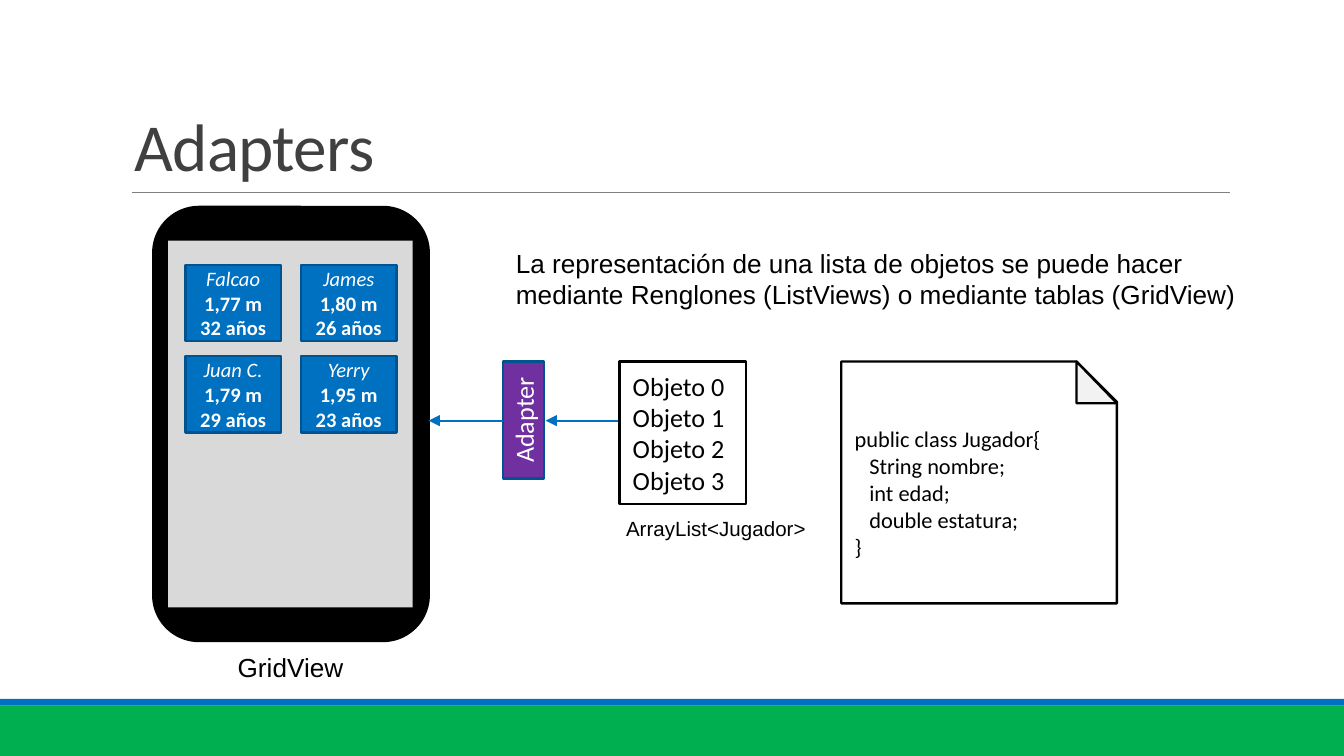
from dataclasses import dataclass

from lxml import etree
from pptx import Presentation
from pptx.dml.color import RGBColor
from pptx.enum import shapes, text
from pptx.oxml import ns
from pptx.util import Inches, Pt

SHAPE = shapes.MSO_SHAPE
ALIGN = text.PP_ALIGN
ANCHOR = text.MSO_ANCHOR


@dataclass(frozen=True)
class Theme:
    heading: str = "Calibri"
    body: str = "Arial"
    black: str = "000000"
    white: str = "FFFFFF"
    title: str = "404040"
    rule: str = "808080"
    green: str = "00B050"
    blue: str = "0070C0"
    blue_edge: str = "00538E"
    purple: str = "7030A0"
    screen: str = "D9D9D9"
    fold: str = "F2F2F2"
    title_size: float = 36
    text_size: float = 14
    code_size: float = 12
    small_size: float = 11
    edge_width: float = 1.25


THEME = Theme()


def rgb(value):
    return RGBColor.from_string(value)


def add_block(slide, kind, box, fill, edge=None):
    block = slide.shapes.add_shape(kind, *map(Inches, box))
    block.shadow.inherit = False
    block.fill.solid()
    block.fill.fore_color.rgb = rgb(fill)
    if edge:
        block.line.color.rgb = rgb(edge)
        block.line.width = Pt(THEME.edge_width)
    else:
        block.line.fill.background()
    return block


def write(holder, lines, size, color, font=THEME.heading, align=ALIGN.LEFT,
          anchor=ANCHOR.MIDDLE):
    frame = holder.text_frame
    frame.vertical_anchor = anchor
    frame.text = "\n".join(lines)
    for line in frame.paragraphs:
        line.alignment = align
        line.font.name = font
        line.font.size = Pt(size)
        line.font.color.rgb = rgb(color)
    return frame.paragraphs


def add_label(slide, box, content, size, wrap=False):
    label = slide.shapes.add_textbox(*map(Inches, box))
    label.text_frame.word_wrap = wrap
    label.text_frame.auto_size = text.MSO_AUTO_SIZE.SHAPE_TO_FIT_TEXT
    write(label, [content], size, THEME.black, THEME.body, anchor=ANCHOR.TOP)


def add_line(slide, start, end, color, width, arrow=False):
    line = slide.shapes.add_connector(
        shapes.MSO_CONNECTOR.STRAIGHT, *map(Inches, start + end))
    line.line.color.rgb = rgb(color)
    line.line.width = Pt(width)
    if arrow:
        stroke = line.line._get_or_add_ln()
        etree.SubElement(stroke, ns.qn("a:tailEnd"), type="triangle")
    etree.SubElement(line._element.spPr, ns.qn("a:effectLst"))


def add_frame(slide):
    add_block(slide, SHAPE.RECTANGLE, (0, 5.25, 10, 0.38), THEME.green)
    add_block(slide, SHAPE.RECTANGLE, (0, 5.2, 10, 0.05), THEME.blue)
    add_line(slide, (0.98, 1.43), (9.15, 1.43), THEME.rule, 0.5)
    title = slide.shapes.add_textbox(*map(Inches, (0.9, 0.24, 8.25, 1.19)))
    title.text_frame.word_wrap = True
    heading = write(title, ["Adapters"], THEME.title_size, THEME.title,
                    anchor=ANCHOR.BOTTOM)[0]
    heading.line_spacing = 0.85
    heading.runs[0].font._element.set("spc", "-38")


def add_phone(slide, players):
    add_block(slide, SHAPE.ROUNDED_RECTANGLE, (1.14, 1.54, 2.05, 3.23),
              THEME.black, THEME.black)
    add_block(slide, SHAPE.RECTANGLE, (1.25, 1.79, 1.82, 2.73), THEME.screen)
    for index, player in enumerate(players):
        row, column = divmod(index, 2)
        box = (1.38 + 0.86 * column, 1.97 + 0.68 * row, 0.71, 0.57)
        card = add_block(slide, SHAPE.RECTANGLE, box, THEME.blue, THEME.blue_edge)
        name, *details = write(card, player, THEME.small_size, THEME.white,
                               align=ALIGN.CENTER)
        name.font.italic = True
        for detail in details:
            detail.font.bold = True


def add_adapter_flow(slide):
    adapter = add_block(slide, SHAPE.RECTANGLE, (3.46, 2.97, 0.87, 0.31),
                        THEME.purple, THEME.blue_edge)
    adapter.rotation = 270
    write(adapter, ["Adapter"], THEME.text_size, THEME.white, align=ALIGN.CENTER)
    for start, end in ((3.74, 3.19), (4.61, 4.06)):
        add_line(slide, (start, 3.13), (end, 3.13), THEME.blue, 1, arrow=True)
    objects = add_block(slide, SHAPE.RECTANGLE, (4.61, 2.69, 0.94, 1.06),
                        THEME.white, THEME.black)
    write(objects, [f"Objeto {number}" for number in range(4)],
          THEME.text_size, THEME.black)


def add_code_note(slide, opening, fields, closing):
    note = add_block(slide, SHAPE.SNIP_1_RECTANGLE, (6.26, 2.69, 2.05, 1.8),
                     THEME.white, THEME.black)
    lines = write(note, [opening, *fields, closing], THEME.code_size, THEME.black)
    for field in lines[1:-1]:
        field._p.get_or_add_pPr().set("marL", str(Inches(0.11)))
    add_block(slide, SHAPE.RIGHT_TRIANGLE, (8.01, 2.69, 0.3, 0.31),
              THEME.fold, THEME.black)


def main():
    deck = Presentation()
    deck.slide_width = Inches(10)
    deck.slide_height = deck.slide_width * 9 // 16
    slide = deck.slides.add_slide(deck.slide_layouts[6])
    add_frame(slide)
    add_phone(slide, [
        ("Falcao", "1,77 m", "32 años"),
        ("James", "1,80 m", "26 años"),
        ("Juan C.", "1,79 m", "29 años"),
        ("Yerry", "1,95 m", "23 años"),
    ])
    add_label(slide, (3.74, 1.79, 5.59, 0.57),
              "La representación de una lista de objetos se puede hacer "
              "mediante Renglones (ListViews) o mediante tablas (GridView)",
              THEME.text_size, wrap=True)
    add_code_note(slide, "public class Jugador{",
                  ["String nombre;", "int edad;", "double estatura;"], "}")
    add_adapter_flow(slide)
    add_label(slide, (4.56, 3.79, 1.55, 0.29), "ArrayList<Jugador>",
              THEME.small_size)
    add_label(slide, (1.67, 4.8, 1, 0.34), "GridView", THEME.text_size)
    deck.save("out.pptx")


main()
